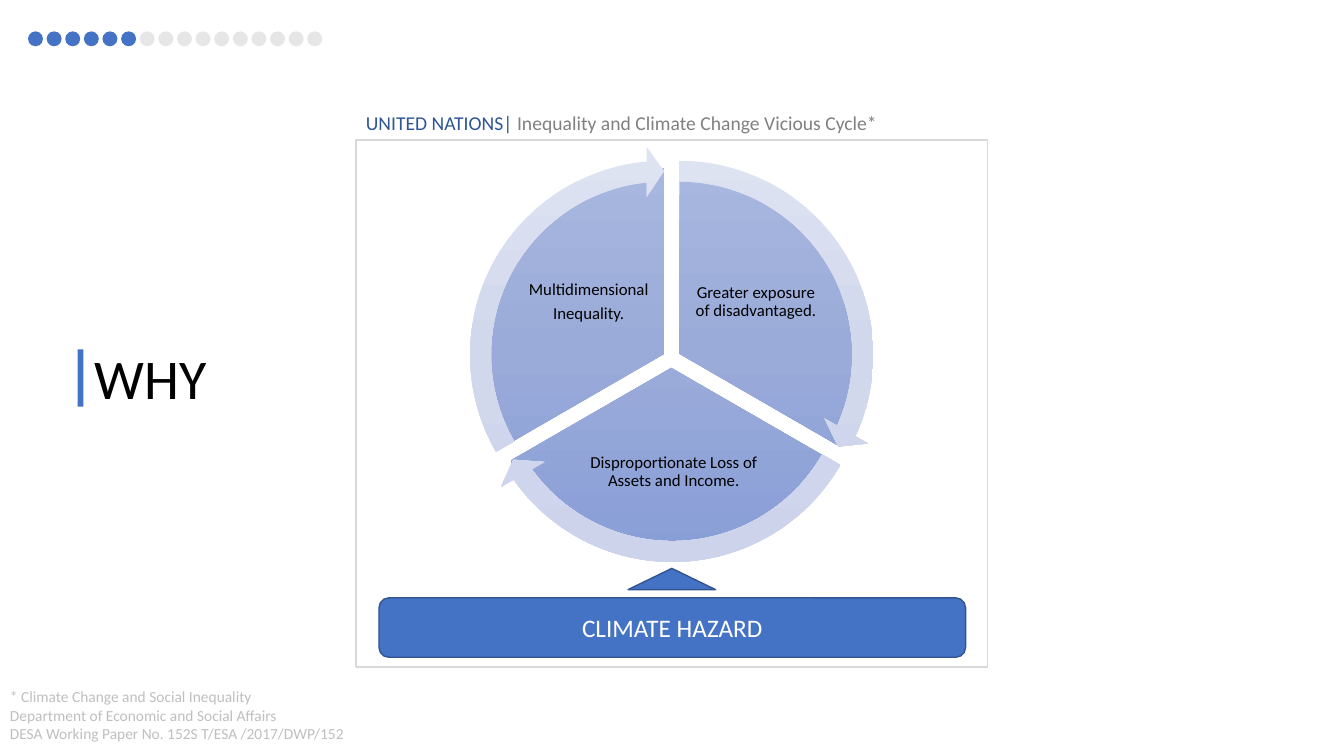
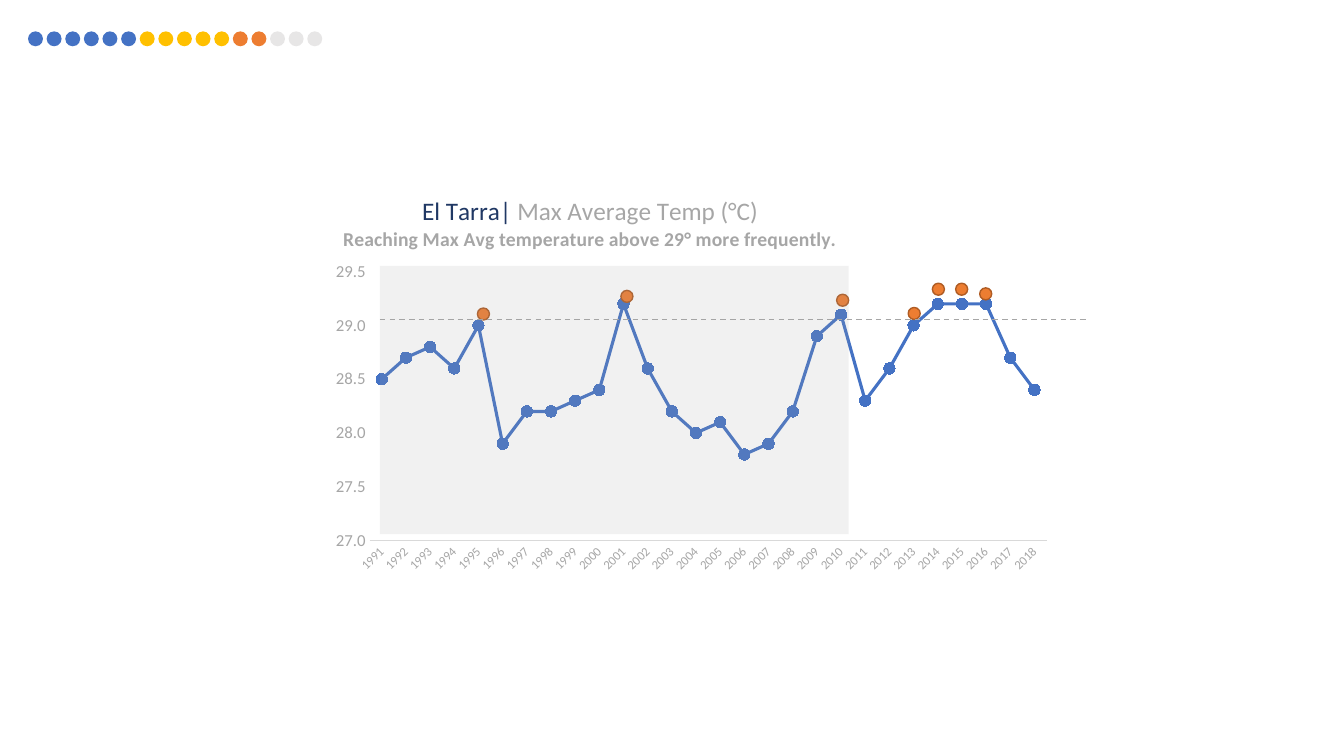
from copy import deepcopy

from lxml.etree import SubElement
from pptx import Presentation
from pptx.chart.data import CategoryChartData
from pptx.dml.color import RGBColor
from pptx.enum.chart import XL_CHART_TYPE, XL_MARKER_STYLE, XL_TICK_MARK
from pptx.enum.dml import MSO_LINE
from pptx.enum.shapes import MSO_CONNECTOR, MSO_SHAPE
from pptx.enum.text import MSO_ANCHOR, MSO_AUTO_SIZE, PP_ALIGN
from pptx.oxml.ns import qn
from pptx.util import Pt

FONT = "Calibri"
BLACK = RGBColor(0x00, 0x00, 0x00)
WHITE = RGBColor(0xFF, 0xFF, 0xFF)
BLUE = RGBColor(0x44, 0x72, 0xC4)
BLUE_EDGE = RGBColor(0x32, 0x54, 0x91)
BLUE_TEXT = RGBColor(0x2F, 0x55, 0x97)
NAVY = RGBColor(0x20, 0x38, 0x64)
YELLOW = RGBColor(0xFF, 0xC0, 0x00)
ORANGE = RGBColor(0xED, 0x7D, 0x31)
ORANGE_EDGE = RGBColor(0xAF, 0x5C, 0x24)
DOT_GRAY = RGBColor(0xE7, 0xE6, 0xE6)
FRAME_GRAY = RGBColor(0xD9, 0xD9, 0xD9)
NOTE_GRAY = RGBColor(0xBF, 0xBF, 0xBF)
AXIS_GRAY = RGBColor(0xA6, 0xA6, 0xA6)
TEXT_GRAY = RGBColor(0x80, 0x80, 0x80)
SHADE_GRAY = RGBColor(0xA5, 0xA5, 0xA5)
PIE_STOPS = (RGBColor(0xA8, 0xB7, 0xDF), RGBColor(0x9A, 0xAB, 0xD9), RGBColor(0x88, 0x9E, 0xD7))
ARROW_STOPS = (RGBColor(0xDE, 0xE3, 0xF2), RGBColor(0xD2, 0xD8, 0xEC), RGBColor(0xCC, 0xD3, 0xEB))


def style_font(font, size, color, bold=False):
    font.name = FONT
    font.size = Pt(size)
    font.bold = bold
    font.color.rgb = color


def set_layout(parent, index, **values):
    old = parent.find(qn("c:layout"))
    if old is not None:
        parent.remove(old)
    layout = SubElement(parent, qn("c:layout"))
    parent.insert(index, layout)
    manual = SubElement(layout, qn("c:manualLayout"))
    for key, value in values.items():
        SubElement(manual, qn("c:" + key)).set("val", str(value))


class Deck:
    dot_count = 16
    dot_size = 10.7
    dot_pitch = 13.3

    def __init__(self):
        self.prs = Presentation()
        self.prs.slide_width = Pt(960)
        self.prs.slide_height = Pt(540)
        self.s = None

    def new_slide(self, layout):
        self.s = self.prs.slides.add_slide(self.prs.slide_layouts[layout])

    def title(self, text, x, y, w, h):
        sp = self.s.shapes.title
        sp.left, sp.top, sp.width, sp.height = Pt(x), Pt(y), Pt(w), Pt(h)
        tf = sp.text_frame
        tf.text = text
        tf.word_wrap = False
        tf.auto_size = MSO_AUTO_SIZE.NONE
        tf.vertical_anchor = MSO_ANCHOR.TOP
        p = tf.paragraphs[0]
        p.alignment = PP_ALIGN.LEFT
        style_font(p.runs[0].font, 40, BLACK)

    def shape(self, kind, x, y, w, h, fill=None, line=None, stops=None, adj=(), alpha=None):
        sp = self.s.shapes.add_shape(kind, Pt(x), Pt(y), Pt(w), Pt(h))
        sp.shadow.inherit = False
        for i, value in enumerate(adj):
            sp.adjustments[i] = value
        if stops:
            self.gradient(sp, stops)
        elif fill is None:
            sp.fill.background()
        else:
            sp.fill.solid()
            sp.fill.fore_color.rgb = fill
        if alpha:
            clr = sp._element.spPr.find(".//" + qn("a:srgbClr"))
            SubElement(clr, qn("a:alpha")).set("val", str(alpha * 1000))
        if line is None:
            sp.line.fill.background()
        else:
            sp.line.color.rgb = line
            sp.line.width = Pt(1)
        return sp

    def gradient(self, sp, colors):
        sp.fill.gradient()
        sp.fill.gradient_angle = 270
        gs = sp._element.spPr.find(".//" + qn("a:gsLst"))
        gs.insert(1, deepcopy(gs[0]))
        for i, (stop, color) in enumerate(zip(sp.fill.gradient_stops, colors)):
            stop.color.rgb = color
            stop.position = i / 2

    def button(self, text, x, y, w, h):
        sp = self.shape(MSO_SHAPE.ROUNDED_RECTANGLE, x, y, w, h, BLUE, BLUE_EDGE)
        tf = sp.text_frame
        tf.text = text
        tf.vertical_anchor = MSO_ANCHOR.MIDDLE
        p = tf.paragraphs[0]
        p.alignment = PP_ALIGN.CENTER
        style_font(p.runs[0].font, 18, WHITE)

    def text(self, paragraphs, x, y, w, h, size):
        tf = self.s.shapes.add_textbox(Pt(x), Pt(y), Pt(w), Pt(h)).text_frame
        tf.word_wrap = False
        tf.auto_size = MSO_AUTO_SIZE.SHAPE_TO_FIT_TEXT
        for i, runs in enumerate(paragraphs):
            p = tf.add_paragraph() if i else tf.paragraphs[0]
            for text, color in runs:
                r = p.add_run()
                r.text = text
                style_font(r.font, size, color)

    def label(self, text, x, y, w, h):
        tf = self.s.shapes.add_textbox(Pt(x), Pt(y), Pt(w), Pt(h)).text_frame
        tf.word_wrap = True
        tf.vertical_anchor = MSO_ANCHOR.MIDDLE
        tf.margin_left = tf.margin_right = tf.margin_top = tf.margin_bottom = Pt(1.44)
        tf.text = text
        for p in tf.paragraphs:
            p.alignment = PP_ALIGN.CENTER
            p.line_spacing = 0.9
            p.space_after = Pt(4.2)
            style_font(p.runs[0].font, 12, BLACK)

    def dashed_line(self, x1, y1, x2, y2, color):
        ln = self.s.shapes.add_connector(MSO_CONNECTOR.STRAIGHT, Pt(x1), Pt(y1), Pt(x2), Pt(y2))
        ln.line.color.rgb = color
        ln.line.width = Pt(1)
        ln.line.dash_style = MSO_LINE.DASH
        SubElement(ln._element.spPr, qn("a:effectLst"))

    def progress(self, *groups):
        colors = [color for color, count in groups for _ in range(count)]
        colors += [DOT_GRAY] * (self.dot_count - len(colors))
        for i, color in enumerate(colors):
            self.shape(MSO_SHAPE.OVAL, 20 + i * self.dot_pitch, 22.4,
                       self.dot_size, self.dot_size, color)

    def line_chart(self, title, cats, vals, x, y, w, h):
        data = CategoryChartData(number_format="#,##0.0")
        data.categories = cats
        data.add_series("Series 1", vals)
        chart = self.s.shapes.add_chart(XL_CHART_TYPE.LINE_MARKERS_STACKED,
                                        Pt(x), Pt(y), Pt(w), Pt(h), data).chart
        style_font(chart.font, 10, BLACK)
        chart.has_legend = False
        plot = chart.plots[0]
        plot.vary_by_categories = False
        self.chart_title(chart, title)
        set_layout(chart._chartSpace.find(".//" + qn("c:plotArea")), 0,
                   layoutTarget="inner", xMode="edge", yMode="edge",
                   x=0.065, y=0.237, w=0.915, h=0.662)

        ser = plot.series[0]
        ser.smooth = False
        ser.format.line.color.rgb = BLUE
        ser.format.line.width = Pt(2.25)
        ser.marker.style = XL_MARKER_STYLE.CIRCLE
        ser.marker.size = 8
        ser.marker.format.fill.solid()
        ser.marker.format.fill.fore_color.rgb = BLUE
        ser.marker.format.line.color.rgb = BLUE

        cat, val = chart.category_axis, chart.value_axis
        for axis, size in ((cat, 9), (val, 12)):
            axis.has_major_gridlines = False
            axis.major_tick_mark = axis.minor_tick_mark = XL_TICK_MARK.NONE
            style_font(axis.tick_labels.font, size, AXIS_GRAY)
        cat.format.line.color.rgb = FRAME_GRAY
        cat.format.line.width = Pt(0.75)
        body = cat._element.find(qn("c:txPr")).find(qn("a:bodyPr"))
        body.set("rot", "-2700000")
        body.set("vert", "horz")
        val.format.line.fill.background()
        val.minimum_scale, val.maximum_scale, val.major_unit = 27, 29.5, 0.5
        val.tick_labels.number_format = "#,##0.0"
        val.tick_labels.number_format_is_linked = False

    def chart_title(self, chart, paragraphs):
        chart.has_title = True
        tf = chart.chart_title.text_frame
        for i, runs in enumerate(paragraphs):
            p = tf.add_paragraph() if i else tf.paragraphs[0]
            p.alignment = PP_ALIGN.CENTER
            for text, size, color, bold in runs:
                r = p.add_run()
                r.text = text
                style_font(r.font, size, color, bold)
        set_layout(chart.chart_title._element, 1, xMode="edge", yMode="edge", x=0.025, y=0.04)

    def vicious_cycle(self):
        pie, arrow = 265, 298
        sectors = (
            (352.8, 120.2, 162, 18, "Greater exposure of disadvantaged.", (492.5, 176.4, 95, 79.2)),
            (347, 130.3, 18, 90, "Disproportionate Loss of Assets and Income.", (410.4, 302.4, 141.8, 69.8)),
            (342, 120.2, 90, 162, "Multidimensional\nInequality.", (373, 176.4, 95, 79.2)),
        )
        arrows = (
            (336.2, 104.4, 14.73, 161.99),
            (331.2, 113.8, 86.72, 18),
            (325.4, 104.4, 158.73, 90),
        )
        for x, y, start, end, text, box in sectors:
            self.shape(MSO_SHAPE.PIE, x, y, pie, pie, stops=PIE_STOPS, adj=(start, end))
            self.label(text, *box)
        for x, y, head, tail in arrows:
            self.shape(MSO_SHAPE.CIRCULAR_ARROW, x, y, arrow, arrow, stops=ARROW_STOPS,
                       adj=(0.05, 3.28, head, tail, 0.06))


def build_why(deck):
    deck.new_slide(5)
    deck.vicious_cycle()
    notes = ("* Climate Change and Social Inequality",
             "Department of Economic and Social Affairs",
             "DESA Working Paper No. 152S T/ESA /2017/DWP/152")
    deck.text([[(note, NOTE_GRAY)] for note in notes], 0, 487.4, 257, 47.5, 11)
    deck.text([[("UNITED NATIONS| ", BLUE_TEXT),
                ("Inequality and Climate Change Vicious Cycle*", TEXT_GRAY)]],
              254.2, 75.6, 380.2, 24.5, 14)
    deck.button("CLIMATE HAZARD", 270.7, 427, 419, 42.5)
    deck.shape(MSO_SHAPE.ISOSCELES_TRIANGLE, 448.6, 406, 62.6, 15.2, BLUE, BLUE_EDGE)
    deck.shape(MSO_SHAPE.RECTANGLE, 254.2, 100, 451.4, 376.6, line=FRAME_GRAY)
    deck.title("WHY", 60.5, 242, 95, 55.4)
    deck.shape(MSO_SHAPE.RECTANGLE, 55.4, 249.5, 4.3, 41, BLUE)
    deck.progress((BLUE, 6))


def build_temperature(deck):
    deck.new_slide(6)
    temps = (28.5, 28.7, 28.8, 28.6, 29, 27.9, 28.2, 28.2, 28.3, 28.4, 29.2, 28.6, 28.2, 28,
             28.1, 27.8, 27.9, 28.2, 28.9, 29.1, 28.3, 28.6, 29, 29.2, 29.2, 29.2, 28.7, 28.4)
    title = ([("El Tarra| ", 18, NAVY, False), ("Max Average Temp (°C)", 18, AXIS_GRAY, False)],
             [("Reaching Max Avg temperature above 29° more frequently.", 14, AXIS_GRAY, True)])
    deck.line_chart(title, [str(year) for year in range(1991, 2019)], temps,
                    229.7, 125.3, 528.5, 290.2)
    peaks = ((341, 220), (443.5, 207.4), (597.6, 210.2), (648.7, 219.6),
             (666, 202.3), (682.6, 202.3), (699.8, 205.6))
    for x, y in peaks:
        deck.shape(MSO_SHAPE.OVAL, x, y, 8.6, 8.6, ORANGE, ORANGE_EDGE)
    deck.dashed_line(271.4, 228.2, 776.9, 228.2, AXIS_GRAY)
    deck.progress((BLUE, 6), (YELLOW, 5), (ORANGE, 2))
    deck.shape(MSO_SHAPE.RECTANGLE, 271.4, 190, 334.8, 191.5, SHADE_GRAY, alpha=15)


deck = Deck()
build_why(deck)
build_temperature(deck)
deck.prs.save("out.pptx")
